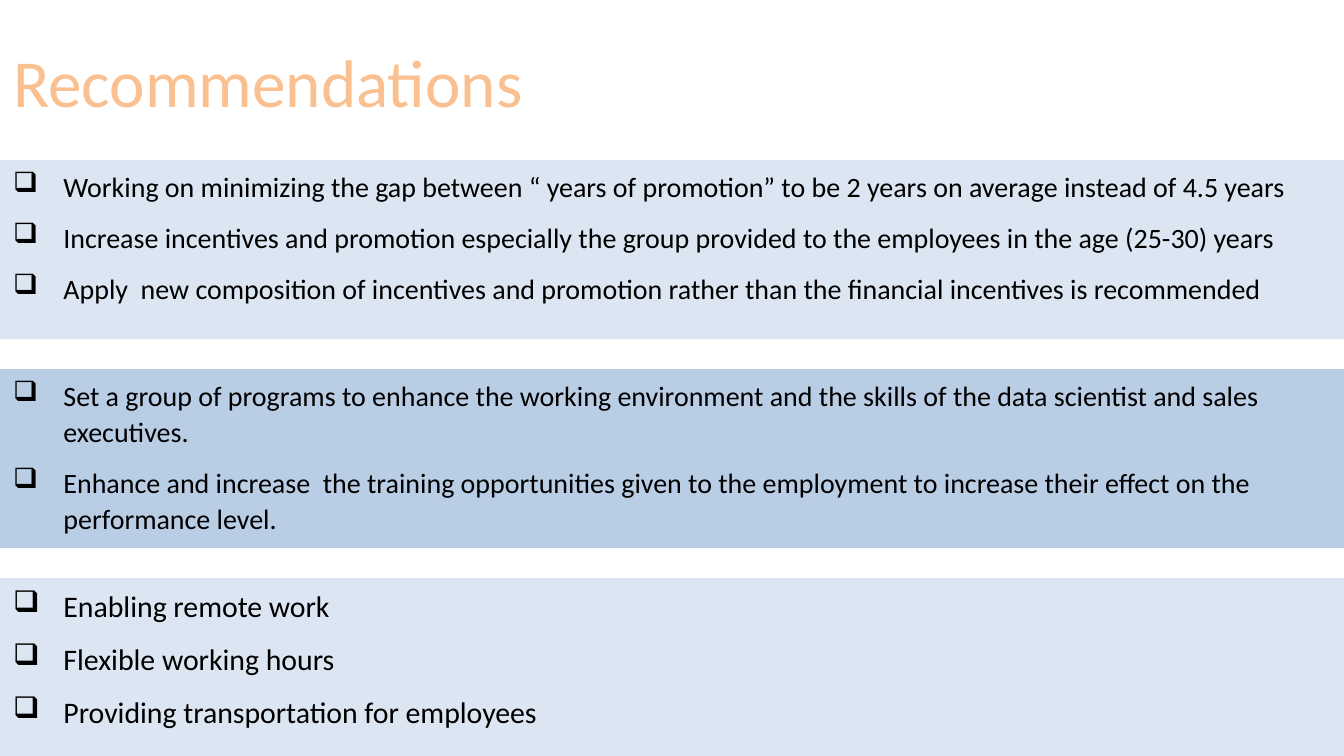
from lxml import etree
from pptx import Presentation
from pptx.dml.color import RGBColor
from pptx.enum.shapes import MSO_SHAPE
from pptx.enum.text import MSO_ANCHOR, PP_ALIGN
from pptx.oxml.ns import qn
from pptx.util import Cm, Pt

RECTANGLE = MSO_SHAPE.RECTANGLE
TOP, MIDDLE = MSO_ANCHOR.TOP, MSO_ANCHOR.MIDDLE
LEFT = PP_ALIGN.LEFT

# Content: fill, text size and bullets of each band
TITLE = "Recommendations"
BANDS = [
    ("DCE6F2", 15, [
        "Working on minimizing the gap between “ years of promotion” to be 2 years on average instead of 4.5 years",
        "Increase incentives and promotion especially the group provided to the employees in the age (25-30) years",
        "Apply  new composition of incentives and promotion rather than the financial incentives is recommended",
    ]),
    ("B9CDE5", 15, [
        "Set a group of programs to enhance the working environment and the skills of the data scientist and sales executives.",
        "Enhance and increase  the training opportunities given to the employment to increase their effect on the performance level.",
    ]),
    ("DCE6F2", 16, [
        "Enabling remote work",
        "Flexible working hours",
        "Providing transportation for employees",
    ]),
]

# Layout in centimetres
PAGE_WIDTH, PAGE_HEIGHT = 25.4, 14.29
BAND_TOP, BAND_HEIGHT, BAND_STEP = 3.03, 3.38, 3.95
BULLET_INDENT = 0.95


def color(value):
    return RGBColor.from_string(value)


def add_bullet(para, mark="❑"):
    properties = para._p.get_or_add_pPr()
    indent = Cm(BULLET_INDENT)
    properties.set("marL", str(indent))
    properties.set("indent", str(-indent))
    etree.SubElement(properties, qn("a:buChar")).set("char", mark)


def write(frame, *lines, size, hue="000000", anchor=TOP, bullets=False):
    frame.word_wrap = True
    frame.vertical_anchor = anchor
    frame.margin_left = frame.margin_right = Cm(0.25)
    frame.margin_top = frame.margin_bottom = Cm(0.13)
    for index, line in enumerate(lines):
        para = frame.add_paragraph() if index else frame.paragraphs[0]
        para.alignment = LEFT
        if bullets:
            para.line_spacing = 1.07
            para.space_before = Pt(0)
            para.space_after = Pt(8)
            add_bullet(para)
        span = para.add_run()
        span.text = line
        span.font.name = "Calibri"
        span.font.size = Pt(size)
        span.font.color.rgb = color(hue)


deck = Presentation()
deck.slide_width, deck.slide_height = Cm(PAGE_WIDTH), Cm(PAGE_HEIGHT)
page = deck.slides.add_slide(deck.slide_layouts[5])

# Title
title = page.shapes.title
title.left, title.top, title.width, title.height = Cm(0), Cm(0), Cm(15.67), Cm(3.05)
write(title.text_frame, TITLE, size=36, hue="FAC090", anchor=MIDDLE)

# Bands of recommendations
for row, (fill, size, bullets) in enumerate(BANDS):
    band = page.shapes.add_shape(RECTANGLE, Cm(0), Cm(BAND_TOP + row * BAND_STEP),
                                 Cm(PAGE_WIDTH), Cm(BAND_HEIGHT))
    band.shadow.inherit = False
    band.fill.solid()
    band.fill.fore_color.rgb = color(fill)
    band.line.fill.background()
    write(band.text_frame, *bullets, size=size, bullets=True)

deck.save("out.pptx")
